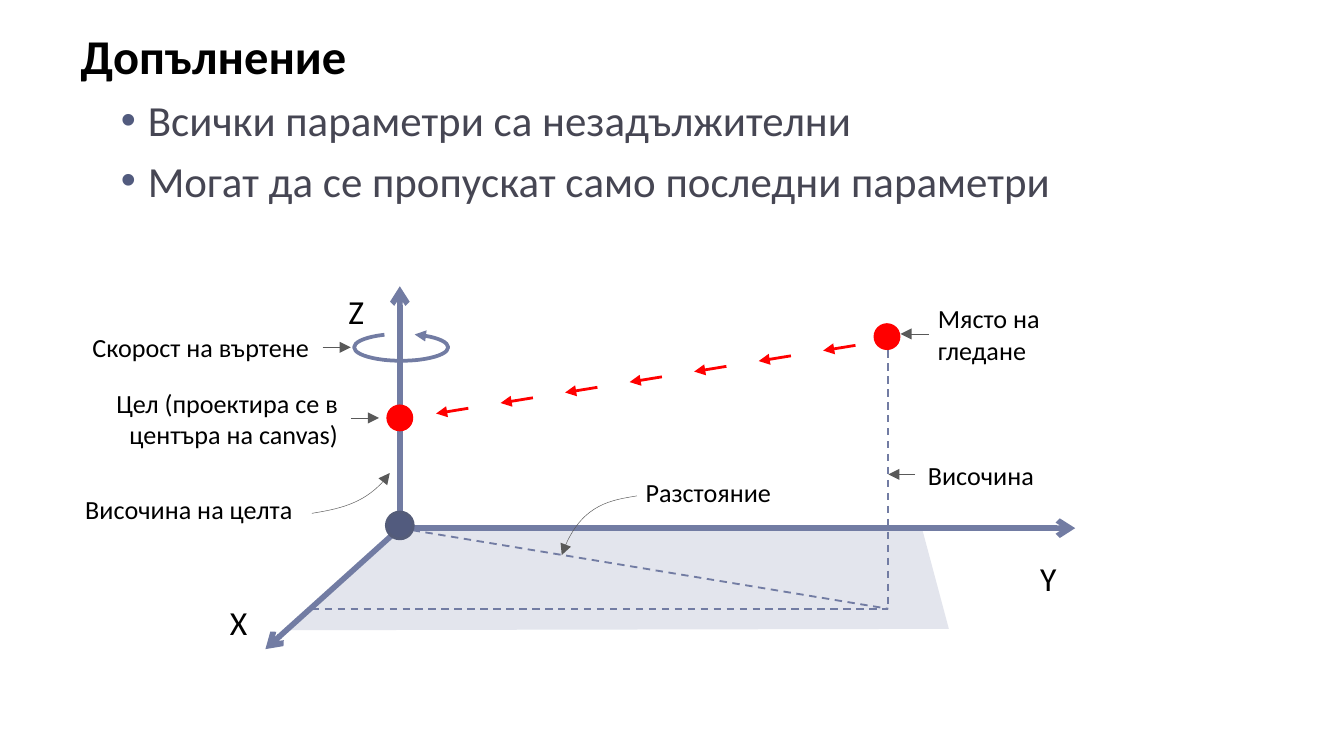
from dataclasses import dataclass

from lxml import etree
from pptx import Presentation
from pptx.dml.color import RGBColor
from pptx.enum import dml, shapes, text
from pptx.oxml import ns
from pptx.util import Emu, Inches, Pt

FONT = "Calibri"
BLACK = RGBColor(0x00, 0x00, 0x00)
INK = RGBColor(0x46, 0x46, 0x53)
NAVY = RGBColor(0x52, 0x5B, 0x7E)
RIM = RGBColor(0x54, 0x5C, 0x79)
BLUE = RGBColor(0x72, 0x7C, 0xA3)
PALE = RGBColor(0xE3, 0xE5, 0xED)
GREY = RGBColor(0x59, 0x59, 0x59)
RED = RGBColor(0xFF, 0x00, 0x00)

# The slide is 16:9, on a grid of square cells, 100 columns wide.
WIDTH = Inches(10)
HEIGHT = Emu(WIDTH * 9 // 16)
COL, ROW = WIDTH / 100, HEIGHT / 56.25

Point = tuple[float, float]
LEFT, MID, RIGHT = text.PP_ALIGN.LEFT, text.PP_ALIGN.CENTER, text.PP_ALIGN.RIGHT


@dataclass
class Pen:
    color: RGBColor
    width: float
    head: str = ""
    dash: bool = False


@dataclass
class Label:
    words: str
    left: float
    top: float
    wide: float
    align: text.PP_ALIGN = LEFT
    size: int = 14


@dataclass
class Dot:
    mid: Point
    fill: RGBColor
    rim: RGBColor | None = None


AXIS = Pen(BLUE, 3, head="arrow")
GUIDE = Pen(BLUE, 1, dash=True)
NOTE = Pen(GREY, 0.25, head="triangle")
RAY = Pen(RED, 1.5, head="triangle")
SPIN = Pen(BLUE, 2, head="triangle")

ORIGIN = (29.75, 39.3)
FOOT = (66.1, 45.3)
EYE = (66, 25.05)
FLOOR = [(21.2, 46.9), (29.8, 39.3), (68.6, 39.3), (70.6, 46.8)]
AXES = [(29.75, 21.3), (80, 39.3), (19.75, 48.3)]
GUIDES = [((23.2, 45.3), FOOT), (ORIGIN, FOOT), ((66.1, 25.1), FOOT)]
NOTES = [
    ((69.1, 24.85), (67, 24.85)),
    ((68.1, 35.3), (66.1, 35.3)),
    ((26.1, 31.1), (28.2, 31.1)),
    ((24, 25.85), (26.1, 25.85)),
]
CURVES = [
    [(47.4, 36.9), (45.6, 37.2), (43.1, 37.5), (41.8, 41.3)],
    [(23.2, 38.2), (25, 37.9), (27.4, 37.5), (29, 35.2)],
]
DOTS = [Dot((29.75, 39.1), NAVY, RIM), Dot((29.75, 31.1), RED), Dot(EYE, RED)]
LABELS = [
    Label("X", 15.75, 44.3, 4, MID, 18),
    Label("Y", 76, 41, 4, MID, 18),
    Label("Z", 24.5, 21.15, 4, MID, 18),
    Label("Място на гледане", 68.8, 22.85, 15),
    Label("Разстояние", 47.05, 34.6, 15),
    Label("Височина", 68.05, 33.35, 22),
    Label("Цел (проектира се в центъра на canvas)", 4.15, 29.15, 22, RIGHT),
    Label("Скорост на въртене", 2, 23.8, 22, RIGHT),
    Label("Височина на целта", 0.75, 35.9, 22, RIGHT),
]
POINTS = ["Всички параметри са незадължителни",
          "Могат да се пропускат само последни параметри"]


def spot(x: float, y: float) -> tuple[Emu, Emu]:
    return Emu(round(x * COL)), Emu(round(y * ROW))


def place(shape, left: float, top: float, wide: float, high: float) -> None:
    shape.left, shape.top = spot(left, top)
    shape.width, shape.height = spot(wide, high)


def ink(shape, pen: Pen) -> None:
    """Give a shape its line, dash and arrowhead."""
    line = shape.line
    line.color.rgb, line.width = pen.color, Pt(pen.width)
    if pen.dash:
        line.dash_style = dml.MSO_LINE.DASH
    if pen.head:
        ln = shape._element.spPr.find(ns.qn("a:ln"))
        etree.SubElement(ln, ns.qn("a:tailEnd"), type=pen.head)


def draw_line(slide, start: Point, end: Point, pen: Pen) -> None:
    line = slide.shapes.add_connector(
        shapes.MSO_CONNECTOR.STRAIGHT, *spot(*start), *spot(*end))
    ink(line, pen)
    etree.SubElement(line._element.spPr, ns.qn("a:effectLst"))


def draw_path(slide, points: list[Point], close: bool):
    first, *rest = [spot(*p) for p in points]
    pen = slide.shapes.build_freeform(*first)
    pen.add_line_segments(rest, close=close)
    shape = pen.convert_to_shape()
    shape.shadow.inherit = False
    return shape


def draw_curve(slide, points: list[Point]) -> None:
    """Draw a cubic curve from its end points and two handles."""
    shape = draw_path(slide, points, close=False)
    shape.fill.background()
    ink(shape, NOTE)
    track = next(shape._element.iter(ns.qn("a:path")))
    steps = track.findall(ns.qn("a:lnTo"))
    curve = etree.SubElement(track, ns.qn("a:cubicBezTo"))
    for step in steps:
        curve.append(step[0])
        track.remove(step)


def draw_dot(slide, dot: Dot) -> None:
    x, y = dot.mid
    shape = slide.shapes.add_shape(
        shapes.MSO_SHAPE.OVAL, *spot(x - 1, y - 1), *spot(2, 2))
    shape.shadow.inherit = False
    shape.fill.solid()
    shape.fill.fore_color.rgb = dot.fill
    if dot.rim is None:
        shape.line.fill.background()
    else:
        ink(shape, Pen(dot.rim, 1.5))


def draw_spin(slide) -> None:
    arc = slide.shapes.add_shape(
        shapes.MSO_SHAPE.ARC, *spot(26.35, 24.85), *spot(7, 2))
    arc.adjustments[0], arc.adjustments[1] = 85.835, 26.111
    arc._element.spPr.xfrm.set("flipV", "1")
    arc.shadow.inherit = False
    arc.fill.background()
    ink(arc, SPIN)


def set_font(para, size: float, color: RGBColor, bold: bool = False) -> None:
    font = para.font
    font.name, font.size, font.bold = FONT, Pt(size), bold
    font.color.rgb = color


def draw_label(slide, label: Label) -> None:
    box = slide.shapes.add_textbox(
        *spot(label.left, label.top), *spot(label.wide, 4))
    frame = box.text_frame
    frame.word_wrap = True
    frame.vertical_anchor = text.MSO_ANCHOR.MIDDLE
    para = frame.paragraphs[0]
    para.text, para.alignment = label.words, label.align
    set_font(para, label.size, BLACK)


def fill_title(title) -> None:
    place(title, 5, 1.45, 93.3, 5)
    frame = title.text_frame
    frame.text = "Допълнение"
    frame.auto_size = text.MSO_AUTO_SIZE.NONE
    frame.vertical_anchor = text.MSO_ANCHOR.TOP
    para = frame.paragraphs[0]
    para.alignment = LEFT
    set_font(para, 26, BLACK, bold=True)


def fill_list(body) -> None:
    place(body, 5, 6.45, 93.3, 10)
    frame = body.text_frame
    frame.text = "\n".join(POINTS)
    frame.auto_size = text.MSO_AUTO_SIZE.NONE
    for i, para in enumerate(frame.paragraphs):
        para.space_before = Pt(5 if i else 0)
        props = para._p.get_or_add_pPr()
        props.set("marL", str(Inches(0.5)))
        props.set("indent", str(Inches(-0.2)))
        tint = etree.SubElement(props, ns.qn("a:buClr"))
        etree.SubElement(tint, ns.qn("a:srgbClr"), val=str(NAVY))
        etree.SubElement(props, ns.qn("a:buChar"), char="•")
        set_font(para, 23, INK)


def main() -> None:
    deck = Presentation()
    deck.slide_width, deck.slide_height = WIDTH, HEIGHT
    slide = deck.slides.add_slide(deck.slide_layouts[1])
    fill_title(slide.shapes.title)
    fill_list(slide.placeholders[1])

    floor = draw_path(slide, FLOOR, close=True)
    floor.fill.solid()
    floor.fill.fore_color.rgb = PALE
    floor.line.fill.background()
    for tip in AXES:
        draw_line(slide, ORIGIN, tip, AXIS)
    for start, end in GUIDES:
        draw_line(slide, start, end, GUIDE)
    for curve in CURVES:
        draw_curve(slide, curve)
    for dot in DOTS:
        draw_dot(slide, dot)
    for start, end in NOTES:
        draw_line(slide, start, end, NOTE)
    for i in range(7):
        x, y = 63.65 - 4.8 * i, 25.7 + 0.78 * i
        draw_line(slide, (x, y), (x - 2.4, y + 0.39), RAY)
    draw_spin(slide)
    for label in LABELS:
        draw_label(slide, label)
    deck.save("out.pptx")


if __name__ == "__main__":
    main()
